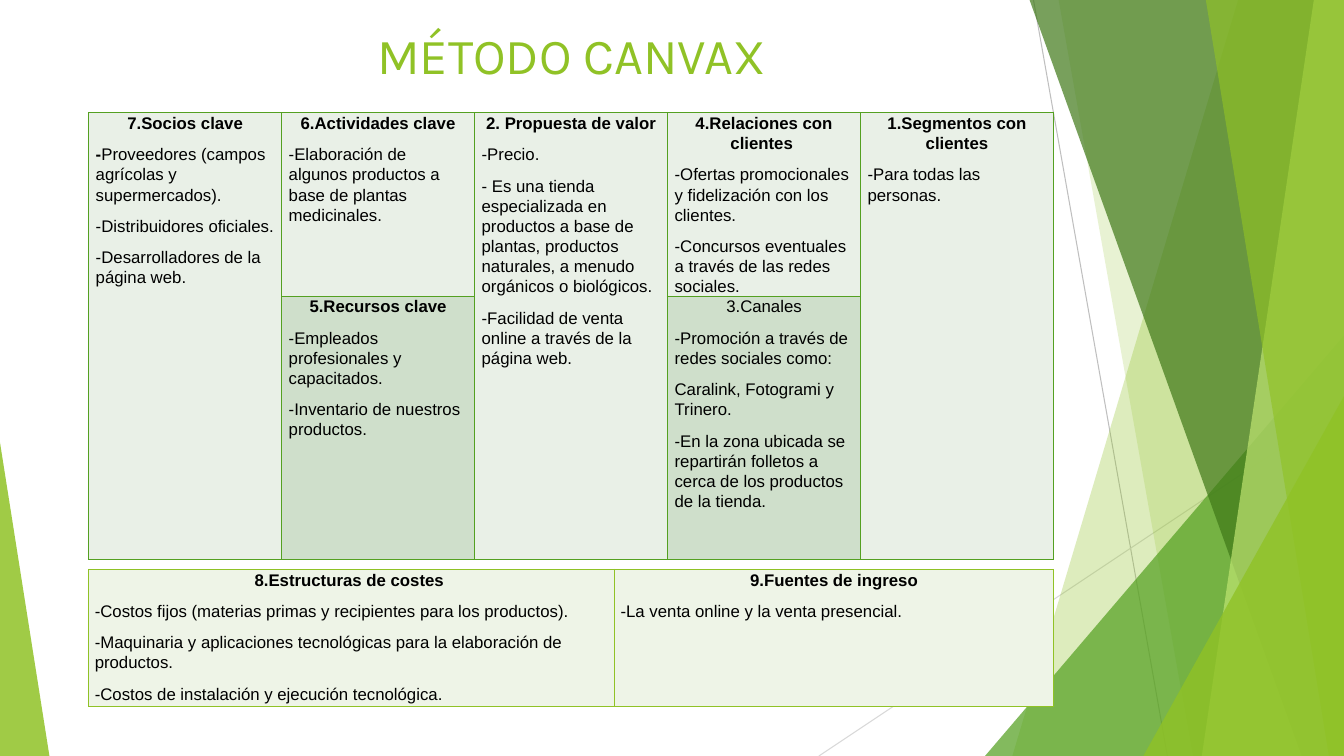
from lxml.etree import SubElement
from pptx import Presentation
from pptx.dml.color import RGBColor
from pptx.enum.shapes import MSO_CONNECTOR as CONNECTOR, MSO_SHAPE as SHAPE
from pptx.enum.text import MSO_ANCHOR as ANCHOR, PP_ALIGN as ALIGN
from pptx.oxml.ns import qn
from pptx.util import Inches, Pt

WIDTH, HEIGHT = 13.33, 7.5
GREEN, DARK_GREEN, PALE_GREEN = "90C226", "54A021", "E9F0E7"

# Left edge of each band at the top and the bottom of the panel, in percent
BANDS = [
    (70.5, 7.6, GREEN, 30),
    (20.5, 57.9, GREEN, 20),
    (12.4, 88.2, "3F7818", 70),
    (91.6, 60.4, "BFE471", 70),
    (61.5, 95.8, GREEN, 65),
]

# Text between asterisks is bold; the first line of a block is its heading
PARTNERS = ["*7.Socios clave*", "*-*Proveedores (campos agrícolas y supermercados).",
            "-Distribuidores oficiales.", "-Desarrolladores de la página web."]
ACTIVITIES = ["*6.Actividades clave*",
              "-Elaboración de algunos productos a base de plantas medicinales."]
RESOURCES = ["*5.Recursos clave*", "-Empleados profesionales y capacitados.",
             "-Inventario de nuestros productos."]
VALUE = ["*2. Propuesta de valor*", "-Precio.",
         "- Es una tienda especializada en productos a base de plantas, "
         "productos naturales, a menudo orgánicos o biológicos.",
         "-Facilidad de venta online a través de la página web."]
RELATIONS = ["*4.Relaciones con clientes *",
             "-Ofertas promocionales y fidelización con los clientes.",
             "-Concursos eventuales a través de las redes sociales."]
CHANNELS = ["3.Canales", "-Promoción a través de redes sociales como:",
            "Caralink, Fotogrami y Trinero.",
            "-En la zona ubicada se repartirán folletos a cerca de los productos de la tienda."]
SEGMENTS = ["*1.Segmentos con clientes*", "-Para todas las personas."]
COSTS = ["*8.Estructuras de costes *",
         "-Costos fijos (materias primas y recipientes para los productos).",
         "-Maquinaria y aplicaciones tecnológicas para la elaboración de productos.",
         "-Costos de instalación y ejecución tecnológica."]
INCOME = ["*9.Fuentes de ingreso*", "-La venta online y la venta presencial."]


def color(hex_code):
    return RGBColor.from_string(hex_code)


def write(paragraph, text, size=12, font="Arial", ink="000000", align=ALIGN.LEFT,
          spacing=1.07, before=0):
    paragraph.alignment = align
    paragraph.line_spacing = spacing
    paragraph.space_before = Pt(before)
    for index, piece in enumerate(text.split("*")):
        if piece:
            run = paragraph.add_run()
            run.text = piece
            run.font.size, run.font.name = Pt(size), font
            run.font.bold = index % 2 == 1
            run.font.color.rgb = color(ink)


def paint(shape, fill, opacity):
    shape.shadow.inherit = False
    shape.line.fill.background()
    shape.fill.solid()
    shape.fill.fore_color.rgb = color(fill)
    tint = shape.fill._xPr.find(qn("a:solidFill"))[0]
    SubElement(tint, qn("a:alpha"), val=str(opacity * 1000))


def add_triangle(slide, box, peak, fill, opacity):
    triangle = slide.shapes.add_shape(SHAPE.ISOSCELES_TRIANGLE, *map(Inches, box))
    triangle.adjustments[0] = peak
    paint(triangle, fill, opacity)


def add_facets(slide, left, top, width, height):
    """Fill the right-hand panel with thin lines, slanted bands and triangles."""
    def spot(x, y):
        return Inches(left + width * x / 100), Inches(top + height * y / 100)

    def corner_triangle(x, y, fill, opacity):
        box = (left + width * x / 100, top + height * y / 100,
               width * (100 - x) / 100, height * (100 - y) / 100)
        add_triangle(slide, box, 1, fill, opacity)

    for start, end, ink in [((13.5, 0), (50.8, 100), "BFBFBF"),
                            ((100, 53.7), (-46.3, 100), "D8D8D8")]:
        ray = slide.shapes.add_connector(CONNECTOR.STRAIGHT, *spot(*start), *spot(*end))
        ray.line.color.rgb = color(ink)
        ray.line.width = Pt(0.75)
        SubElement(ray._element.spPr, qn("a:effectLst"))

    for index, (upper, lower, fill, opacity) in enumerate(BANDS):
        if index == 2:
            corner_triangle(0, 44.4, DARK_GREEN, 72)
        outline = slide.shapes.build_freeform(*spot(upper, 0))
        outline.add_line_segments([spot(100, 0), spot(100, 100), spot(lower, 100)])
        paint(outline.convert_to_shape(), fill, opacity)
    corner_triangle(44.1, 52.4, GREEN, 80)


def add_title(slide, text, left, top, width, height):
    title = slide.shapes.title
    title.left, title.top, title.width, title.height = map(
        Inches, (left, top, width, height))
    title.text_frame.vertical_anchor = ANCHOR.TOP
    write(title.text_frame.paragraphs[0], text, size=36, font="Karla", ink=GREEN,
          align=ALIGN.CENTER, spacing=1)


def fill_cell(cell, lines, fill, border, inset):
    cell.margin_left = cell.margin_right = Inches(inset)
    cell.margin_top = cell.margin_bottom = 0
    properties = cell._tc.get_or_add_tcPr()
    for side in ("lnL", "lnR", "lnT", "lnB"):
        edge = SubElement(properties, qn(f"a:{side}"), w=str(Pt(1)))
        SubElement(SubElement(edge, qn("a:solidFill")), qn("a:srgbClr"), val=border)
    cell.fill.solid()
    cell.fill.fore_color.rgb = color(fill)
    frame = cell.text_frame
    for index, line in enumerate(lines):
        paragraph = frame.add_paragraph() if index else frame.paragraphs[0]
        write(paragraph, line, before=8 if index else 0,
              align=ALIGN.LEFT if index else ALIGN.CENTER)


def add_blocks(slide, box, columns, rows, blocks, fills, border, inset):
    """Draw a table from shares of its box; None joins a cell to the one above."""
    left, top, width, height = box
    table = slide.shapes.add_table(len(rows), len(columns), *map(Inches, box)).table
    table.first_row = table.horz_banding = False
    for column, share in zip(table.columns, columns):
        column.width = Inches(width * share)
    for row, share in zip(table.rows, rows):
        row.height = Inches(height * share)
    for r, row_blocks in enumerate(blocks):
        for c, lines in enumerate(row_blocks):
            fill = fills[r] if lines else fills[r - 1]
            fill_cell(table.cell(r, c), lines or [], fill, border, inset)
            if lines is None:
                table.cell(r - 1, c).merge(table.cell(r, c))


def main():
    deck = Presentation()
    deck.slide_width, deck.slide_height = Inches(WIDTH), Inches(HEIGHT)
    slide = deck.slides.add_slide(deck.slide_layouts[5])

    panel_left = 9.77
    add_facets(slide, panel_left, 0, WIDTH - panel_left, HEIGHT)
    add_triangle(slide, (0, 4.39, 0.49, HEIGHT - 4.39), 0, GREEN, 85)
    add_title(slide, "MÉTODO CANVAX", 0.97, 0.19, 9.4, 1.44)

    left, width = 0.88, 9.57
    add_blocks(slide, (left, 1.12, width, 4.43), [1 / 5] * 5, [0.41, 0.59],
               [[PARTNERS, ACTIVITIES, VALUE, RELATIONS, SEGMENTS],
                [None, RESOURCES, None, CHANNELS, None]],
               [PALE_GREEN, "CFDFCB"], DARK_GREEN, 0.07)
    add_blocks(slide, (left, 5.65, width, 1.36), [0.545, 0.455], [1],
               [[COSTS, INCOME]], ["EEF4E7"], GREEN, 0.06)
    deck.save("out.pptx")


if __name__ == "__main__":
    main()
